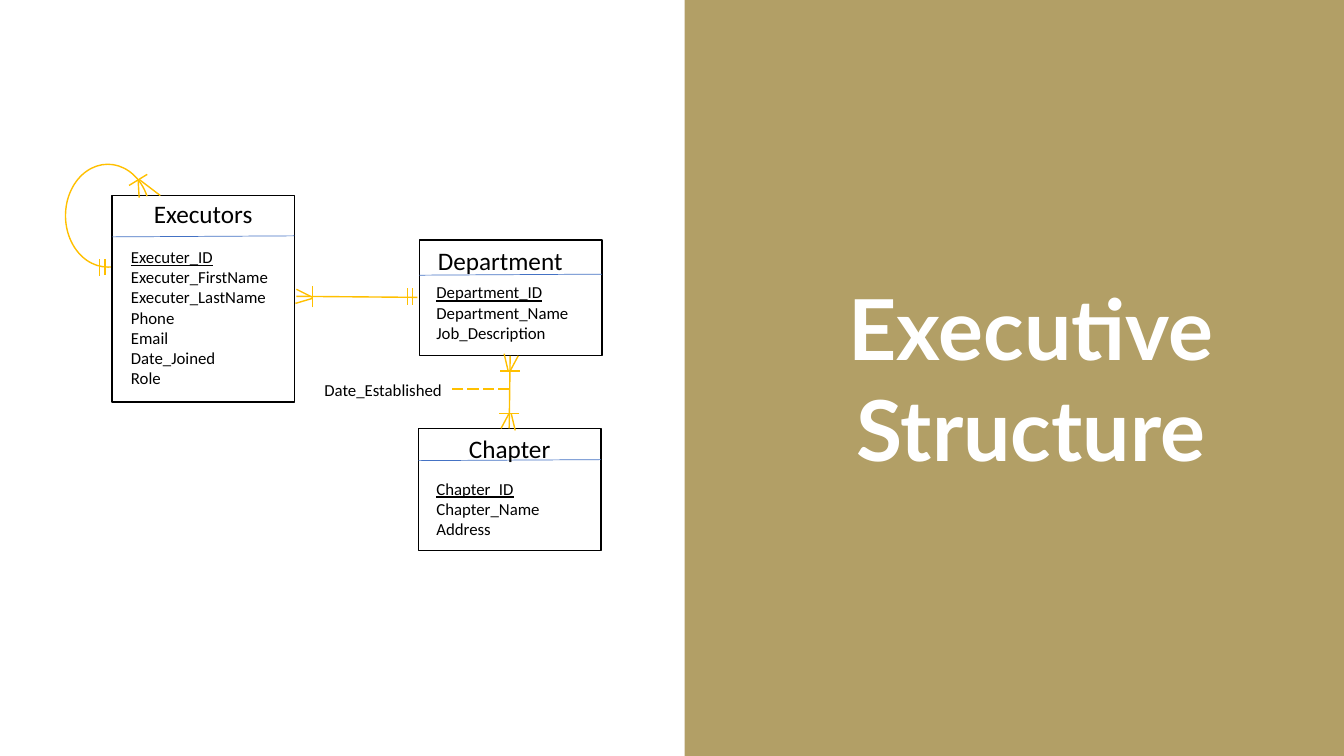
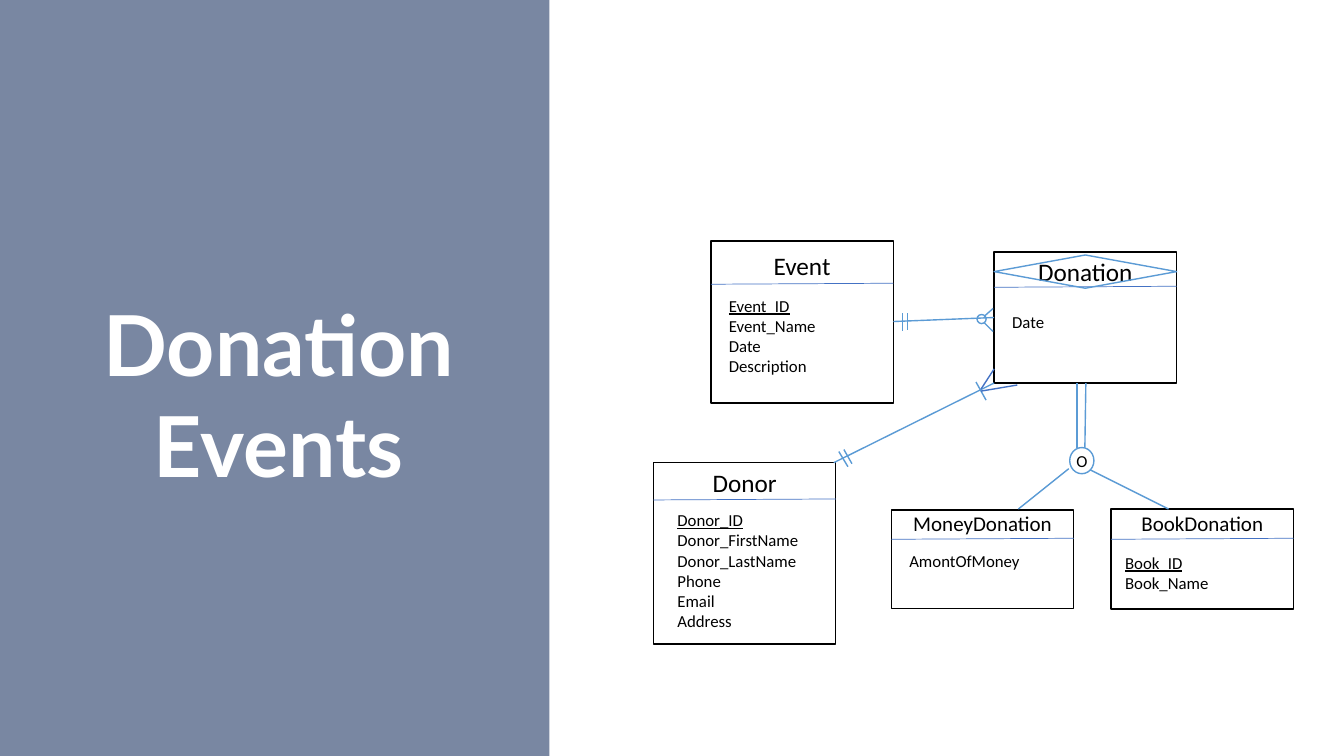
"""Build two entity-relationship slides, each with a coloured title panel."""
from lxml.etree import SubElement
from pptx import Presentation
from pptx.dml.color import RGBColor
from pptx.enum.dml import MSO_LINE
from pptx.enum.shapes import MSO_CONNECTOR, MSO_SHAPE
from pptx.enum.text import MSO_ANCHOR, MSO_AUTO_SIZE, PP_ALIGN
from pptx.oxml.ns import qn
from pptx.util import Inches, Pt

WIDE, HIGH = 13.33, 7.5
BLACK, WHITE = "000000", "FFFFFF"
GOLD, SKY, BLUE = "FFC000", "5B9BD5", "4472C4"
BOX_W, HEAD_W, BODY_W = 1.81, 1.64, 1.65
LEFT, MID = PP_ALIGN.LEFT, PP_ALIGN.CENTER

# name, size, align, box (x, y, height), rule y, head y, body (indent, y), fields
SLIDES = [
    {
        "title": ["Executive Structure"],
        "place": (8.25, 2.69, 3.95, 2.12),
        "panel": (6.79, WIDE - 6.79, "806000"),
        "tables": [
            ("Chapter", 18, MID, (4.15, 4.25, 1.21), 4.57, 4.25, (0.08, 4.7),
             ["Chapter_ID", "Chapter_Name", "Address"]),
            ("Executors", 18, MID, (1.11, 1.94, 2.05), 2.35, 1.92, (0.09, 2.4),
             ["Executer_ID", "Executer_FirstName", "Executer_LastName",
              "Phone", "Email", "Date_Joined", "Role"]),
            ("Department", 18, LEFT, (4.16, 2.38, 1.15), 2.73, 2.38, (0.07, 2.75),
             ["Department_ID", "Department_Name", "Job_Description"]),
        ],
        "links": [
            (GOLD, [
                (2.94, 2.94, 4.14, 2.95),
                (3.1, 3.05, 3.1, 2.84), (3.1, 2.96, 2.93, 3.01), (3.1, 2.95, 2.94, 2.87),
                (4.09, 2.86, 4.09, 3.03), (4.04, 2.86, 4.04, 3.03)]),
            (GOLD, [
                (5.06, 3.53, 5.05, 4.25),
                (4.96, 3.68, 5.16, 3.68), (5.04, 3.68, 5, 3.51), (5.06, 3.68, 5.14, 3.53),
                (5.15, 4.1, 4.95, 4.1), (5.07, 4.1, 5.11, 4.27), (5.05, 4.1, 4.97, 4.25)]),
            (GOLD, [
                (0.99, 2.74, 0.99, 2.57), (1.04, 2.73, 1.04, 2.57),
                (1.46, 1.73, 1.28, 1.84), (1.38, 1.78, 1.59, 1.94), (1.37, 1.78, 1.38, 1.96)]),
        ],
    },
    {
        "title": ["Donation", "Events"],
        "place": (0.79, 2.85, 3.95, 2.12),
        "panel": (0, 5.45, "203864"),
        "tables": [
            ("Event", 18, MID, (7.05, 2.39, 1.61), 2.82, 2.43, (0.08, 2.88),
             ["Event_ID", "Event_Name", "Date", "Description"]),
            ("Donor", 18, MID, (6.48, 4.59, 1.8), 4.96, 4.59, (0.14, 5.01),
             ["Donor_ID", "Donor_FirstName", "Donor_LastName",
              "Phone", "Email", "Address"]),
            ("MoneyDonation", 15, MID, (8.84, 5.06, 0.98), 5.35, 5.02, (0.08, 5.41),
             ["AmontOfMoney"]),
            ("BookDonation", 15, MID, (11.02, 5.05, 0.99), 5.35, 5.02, (0.04, 5.43),
             ["Book_ID", "Book_Name"]),
            ("Donation", 18, MID, (9.86, 2.5, 1.3), 2.85, 2.49, (0.08, 3.04),
             ["Date"]),
        ],
        "links": [
            (SKY, [
                (10.77, 3.8, 10.76, 4.44), (10.68, 3.8, 10.68, 4.44),
                (10.6, 4.65, 10.1, 5.05), (10.81, 4.66, 11.59, 5.05)]),
            (SKY, [
                (8.86, 3.19, 9.86, 3.15),
                (8.95, 3.28, 8.95, 3.11), (9, 3.27, 9, 3.11),
                (9.76, 3.14, 9.85, 3.06), (9.76, 3.2, 9.85, 3.29)]),
            (SKY, [
                (8.27, 4.59, 9.86, 3.8),
                (8.37, 4.46, 8.45, 4.6), (8.32, 4.48, 8.41, 4.63),
                (9.68, 3.79, 9.78, 3.97)]),
            (BLUE, [(9.73, 3.86, 9.86, 3.66), (9.73, 3.88, 10.09, 3.82)]),
        ],
    },
]


def color(code):
    return RGBColor.from_string(code)


def spots(values):
    return [Inches(value) for value in values]


def write(frame, lines, size=12, font="Calibri", ink=BLACK, bold=False,
          align=LEFT, anchor=MSO_ANCHOR.TOP, wrap=True):
    frame.word_wrap = wrap
    frame.auto_size = MSO_AUTO_SIZE.NONE
    frame.vertical_anchor = anchor
    for i, line in enumerate(lines):
        para = frame.add_paragraph() if i else frame.paragraphs[0]
        para.alignment = align
        para.line_spacing = 1.0
        para.space_before = Pt(0)
        run = para.add_run()
        run.text = line
        run.font.name, run.font.size, run.font.bold = font, Pt(size), bold
        run.font.underline = line.endswith("_ID")
        run.font.color.rgb = color(ink)


def label(shapes, at, lines, **style):
    write(shapes.add_textbox(*spots(at)).text_frame, lines, **style)


def outline(shapes, kind, at, ink):
    shape = shapes.add_shape(kind, *spots(at))
    shape.shadow.inherit = False
    shape.fill.background()
    shape.line.color.rgb = color(ink)
    shape.line.width = Pt(1)
    return shape


def stroke(shapes, ends, ink, width=1, dash=None):
    line = shapes.add_connector(MSO_CONNECTOR.STRAIGHT, *spots(ends))
    line.line.color.rgb = color(ink)
    line.line.width = Pt(width)
    if dash:
        line.line.dash_style = dash
    SubElement(line._element.spPr, qn("a:effectLst"))


def table(slide, name, size, align, box, rule, top, body, fields):
    x, y, height = box
    shapes = slide.shapes.add_group_shape().shapes
    outline(shapes, MSO_SHAPE.RECTANGLE, (x, y, BOX_W, height), BLACK)
    stroke(shapes, (x, rule, x + BOX_W, rule - 0.01), BLUE, 0.5)
    label(shapes, (x + (BOX_W - HEAD_W) / 2, top, HEAD_W, 0.4), [name],
          size=size, align=align)
    indent, start = body
    label(shapes, (x + indent, start, BODY_W, 0.1 + 0.2 * len(fields)), fields)


def panel(slide, left, width, fill):
    shape = slide.shapes.add_shape(
        MSO_SHAPE.RECTANGLE, *spots((left, 0, width, HIGH)))
    shape.shadow.inherit = False
    shape.line.fill.background()
    shape.fill.solid()
    shape.fill.fore_color.rgb = color(fill)
    tint = shape._element.spPr.find(".//" + qn("a:srgbClr"))
    SubElement(tint, qn("a:alpha"), val="60000")
    slide.shapes._spTree.insert(2, shape._element)


def build(deck, data):
    slide = deck.slides.add_slide(deck.slide_layouts[5])
    panel(slide, *data["panel"])
    title = slide.shapes.title
    title.left, title.top, title.width, title.height = spots(data["place"])
    write(title.text_frame, data["title"], size=60, font="Lato", ink=WHITE,
          bold=True, align=MID)
    for item in data["tables"]:
        table(slide, *item)
    for ink, ends in data["links"]:
        group = slide.shapes.add_group_shape().shapes
        for pair in ends:
            stroke(group, pair, ink)
    return slide.shapes


def main():
    deck = Presentation()
    deck.slide_width, deck.slide_height = spots((WIDE, HIGH))
    staff, gifts = [build(deck, data) for data in SLIDES]

    loop = outline(staff, MSO_SHAPE.ARC, (0.65, 1.63, 0.84, 1.02), GOLD)
    loop.adjustments[0], loop.adjustments[1] = 51.97, 200.18
    stroke(staff, (5.05, 3.86, 4.46, 3.86), GOLD, dash=MSO_LINE.LONG_DASH)
    label(staff, (3.1, 3.72, 1.4, 0.3), ["Date_Established"], align=MID)

    outline(gifts, MSO_SHAPE.DIAMOND, (9.86, 2.53, BOX_W, 0.33), SKY)
    outline(gifts, MSO_SHAPE.FLOWCHART_CONNECTOR, (9.69, 3.12, 0.09, 0.09), SKY)
    node = outline(gifts, MSO_SHAPE.FLOWCHART_CONNECTOR, (10.61, 4.44, 0.24, 0.26), SKY)
    frame = node.text_frame
    frame.margin_left = frame.margin_right = frame.margin_top = frame.margin_bottom = 0
    write(frame, ["O"], align=MID, anchor=MSO_ANCHOR.MIDDLE, wrap=False)
    deck.save("out.pptx")


if __name__ == "__main__":
    main()
